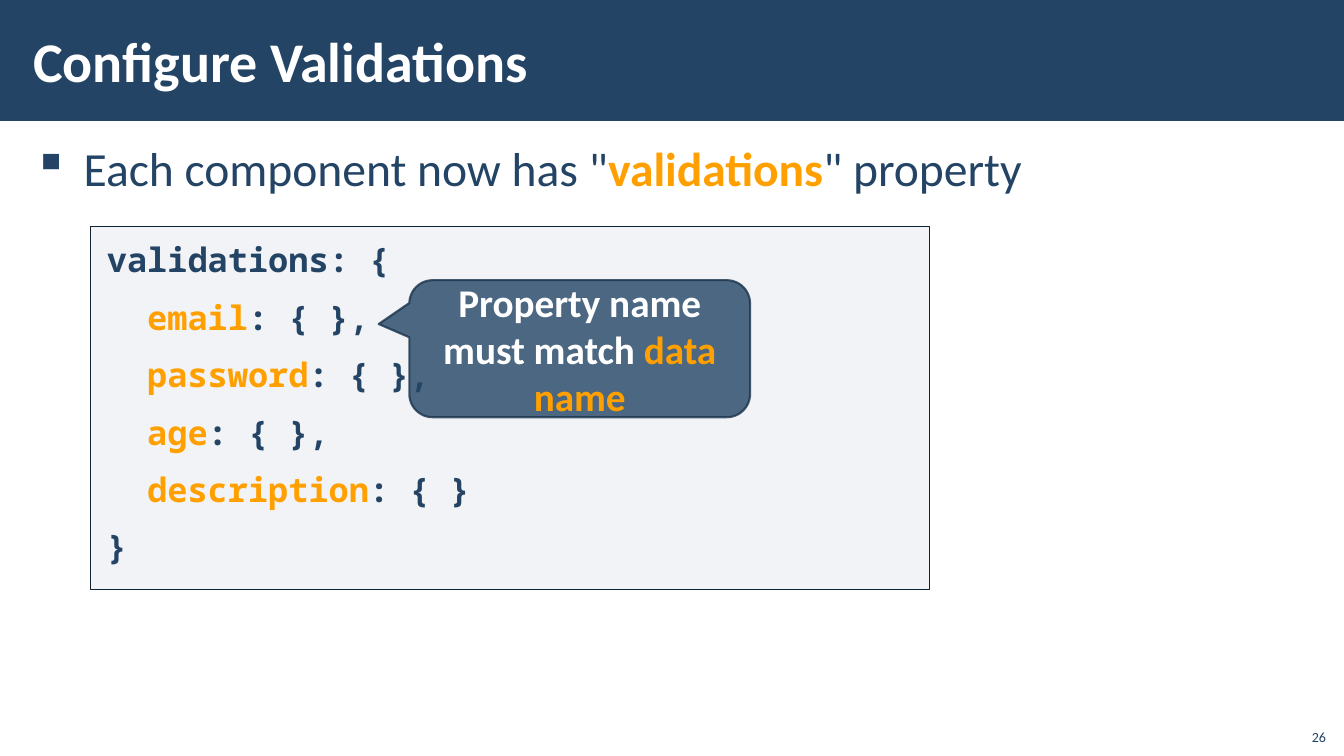
from lxml import etree
from pptx import Presentation
from pptx.dml.color import RGBColor
from pptx.enum.shapes import MSO_SHAPE
from pptx.enum.text import MSO_ANCHOR, PP_ALIGN
from pptx.oxml.ns import qn
from pptx.util import Inches, Pt

RECT, CALLOUT = MSO_SHAPE.RECTANGLE, MSO_SHAPE.ROUNDED_RECTANGULAR_CALLOUT
TOP, MIDDLE, BOTTOM = MSO_ANCHOR.TOP, MSO_ANCHOR.MIDDLE, MSO_ANCHOR.BOTTOM
LEFT, CENTER, RIGHT = PP_ALIGN.LEFT, PP_ALIGN.CENTER, PP_ALIGN.RIGHT

# Content: each line is a list of (text, colour) runs
COLORS = {"navy": "234465", "orange": "FFA000", "white": "FFFFFF",
          "code_fill": "ADB4C3", "code_line": "112233", "note_line": "1A334C"}
TITLE = [("Configure Validations", "white")]
BULLET = [('Each component now has "', "navy"), ("validations", "orange"),
          ('" property', "navy")]
FIELDS = ["email", "password", "age", "description"]
NOTE = [("Property name must match ", "white"), ("data name", "orange")]
PAGE = [("26", "navy")]
SANS, MONO = "Calibri", "Noto Sans Mono"

# Layout in inches
WIDTH, HEIGHT = 13.33, 7.5
MARGIN, BAND = 0.21, 1.2
TITLE_HEIGHT = 0.97
CODE_INDENT = 0.4
PLAIN_INSETS = (0.12, 0.04)

prs = Presentation()
prs.slide_width, prs.slide_height = Inches(WIDTH), Inches(HEIGHT)
slide = prs.slides.add_slide(prs.slide_layouts[6])


def set_alpha(color_format, percent):
    color = color_format._xFill.find(qn("a:srgbClr"))
    etree.SubElement(color, qn("a:alpha"), val=str(percent * 1000))


def add_box(kind, box, fill, line=None, width=0, fill_alpha=100, line_alpha=100):
    shape = slide.shapes.add_shape(kind, *map(Inches, box))
    shape.shadow.inherit = False
    shape.fill.solid()
    shape.fill.fore_color.rgb = RGBColor.from_string(COLORS[fill])
    set_alpha(shape.fill.fore_color, fill_alpha)
    if line:
        shape.line.color.rgb = RGBColor.from_string(COLORS[line])
        shape.line.width = Pt(width)
        set_alpha(shape.line.fill.fore_color, line_alpha)
    else:
        shape.line.fill.background()
    return shape


def add_text_box(box):
    return slide.shapes.add_textbox(*map(Inches, box))


def write(shape, lines, size, font=SANS, bold=(), insets=(0.1, 0.05),
          anchor=TOP, align=LEFT, space=0):
    """Fill a shape with lines; bold lists the run colours set in bold."""
    frame = shape.text_frame
    frame.word_wrap = True
    frame.vertical_anchor = anchor
    frame.margin_left = frame.margin_right = Inches(insets[0])
    frame.margin_top = frame.margin_bottom = Inches(insets[1])
    for i, line in enumerate(lines):
        paragraph = frame.add_paragraph() if i else frame.paragraphs[0]
        paragraph.alignment = align
        paragraph.space_before = paragraph.space_after = Pt(space)
        for text, color in line:
            run = paragraph.add_run()
            run.text = text
            run.font.name, run.font.size = font, Pt(size)
            run.font.bold = color in bold
            run.font.color.rgb = RGBColor.from_string(COLORS[color])
    return frame.paragraphs


# Title band
add_box(RECT, (0, 0, WIDTH, BAND), "navy")

# Code block, with its fields indented
code = add_box(RECT, (0.9, 2.25, 8.32, 3.6), "code_fill", "code_line", 1, fill_alpha=15)
field_lines = [[(field, "orange"), (": { }" if field == FIELDS[-1] else ": { },", "navy")]
               for field in FIELDS]
code_lines = [[("validations: {", "navy")], *field_lines, [("}", "navy")]]
code_paragraphs = write(code, code_lines, 24, MONO, bold=("navy", "orange"),
                        insets=(0.16, 0.12), space=6)
for paragraph in code_paragraphs:
    paragraph.line_spacing = Pt(29)
for paragraph in code_paragraphs[1:-1]:
    paragraph._p.get_or_add_pPr().set("marL", str(Inches(CODE_INDENT)))

# Bullet
body = add_text_box((MARGIN, 1.31, WIDTH - 2 * MARGIN, 6.08))
bullet = write(body, [BULLET], 34, bold=("orange",), insets=PLAIN_INSETS, space=6)[0]
bullet.line_spacing = 1.05
properties = bullet._p.get_or_add_pPr()
properties.set("marL", str(Inches(0.5)))
properties.set("indent", str(-Inches(0.5)))
etree.SubElement(properties, qn("a:buChar"), char="▪")

# Title
title = add_text_box((MARGIN, (BAND - TITLE_HEIGHT) / 2, 10.63, TITLE_HEIGHT))
write(title, [TITLE], 40, bold=("white",), insets=PLAIN_INSETS, anchor=MIDDLE)

# Callout pointing at the first field
note = add_box(CALLOUT, (4.06, 2.78, 3.38, 1.36), "navy", "note_line", 1.5,
               fill_alpha=80, line_alpha=80)
for i, value in enumerate((-0.59, -0.18, 0.17)):
    note.adjustments[i] = value
write(note, [NOTE], 28, bold=("white", "orange"), anchor=MIDDLE, align=CENTER)

# Page number
page = add_text_box((12.85, 7.12, 0.4, 0.32))
write(page, [PAGE], 10, anchor=BOTTOM, align=RIGHT)

prs.save("out.pptx")
